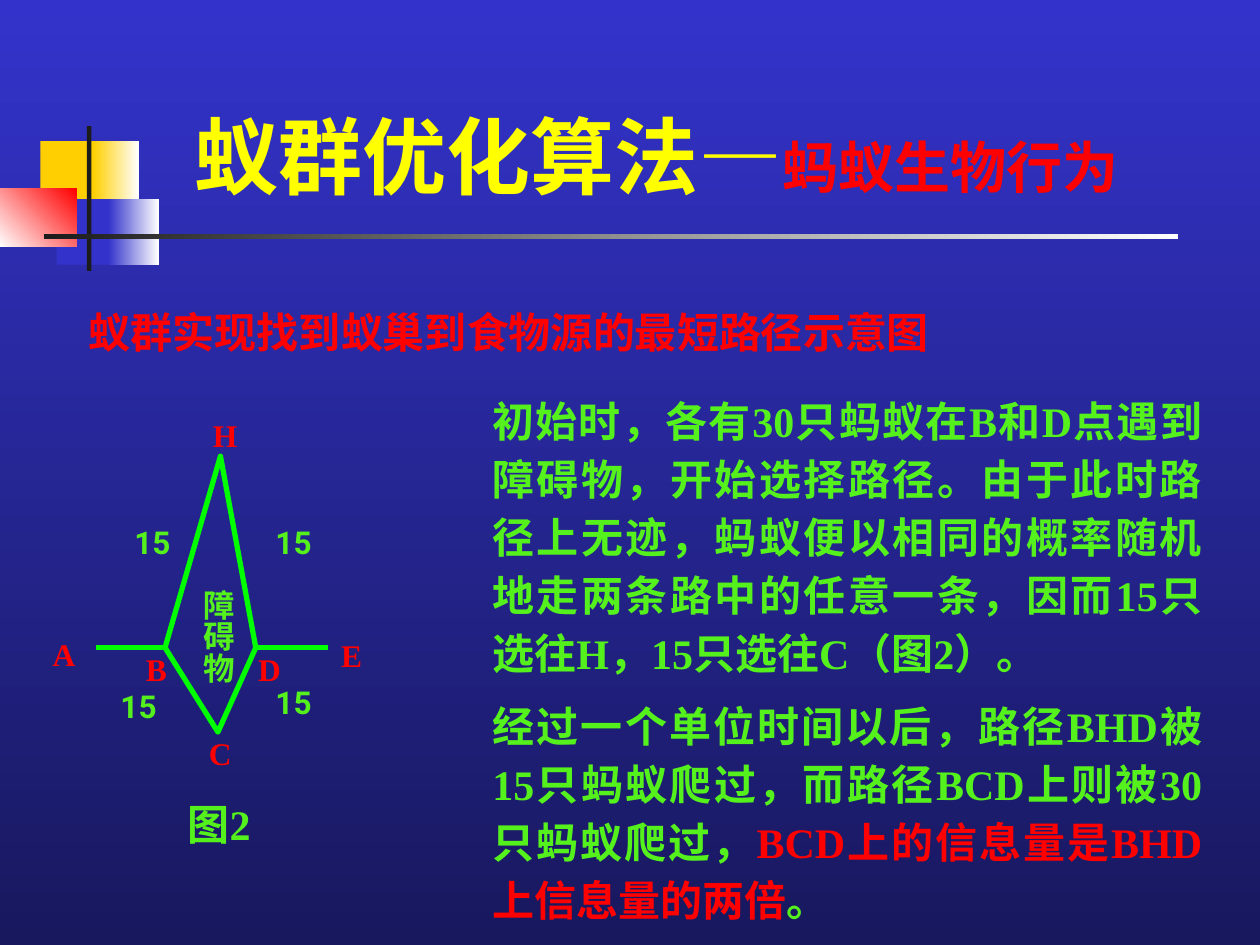
from lxml import etree
from pptx import Presentation
from pptx.dml.color import RGBColor
from pptx.enum.shapes import MSO_CONNECTOR, MSO_SHAPE
from pptx.enum.text import MSO_ANCHOR, PP_ALIGN
from pptx.oxml.ns import qn
from pptx.util import Inches, Pt

BLUE = RGBColor(0x33, 0x33, 0xCC)
NAVY = RGBColor(0x18, 0x18, 0x5E)
GOLD = RGBColor(0xFF, 0xCF, 0x01)
YELLOW = RGBColor(0xFF, 0xFF, 0x00)
RED = RGBColor(0xFF, 0x00, 0x00)
WHITE = RGBColor(0xFF, 0xFF, 0xFF)
BLACK = RGBColor(0x1C, 0x1C, 0x1C)
LIME = RGBColor(0x55, 0xF1, 0x1D)
GREEN = RGBColor(0x00, 0xFF, 0x00)

SERIF, SANS, CJK, DIGITS = "Times New Roman", "Arial", "Noto Sans CJK SC", "Roboto"
COLUMNS, ROWS = 100, 75


class Deck:
    """Style and current slide; lengths are columns and rows of the grid."""

    def __init__(self):
        self.prs = Presentation()
        self.prs.slide_width, self.prs.slide_height = Inches(10), Inches(7.5)
        self.slide = self.prs.slides.add_slide(self.prs.slide_layouts[6])
        self.shapes = self.slide.shapes

    def x(self, columns):
        return round(self.prs.slide_width * columns / COLUMNS)

    def y(self, rows):
        return round(self.prs.slide_height * rows / ROWS)

    def box(self, left, top, width, height):
        return self.x(left), self.y(top), self.x(width), self.y(height)

    def gradient(self, fill, start, end, angle):
        fill.gradient()
        fill.gradient_angle = angle
        for stop, color, position in zip(fill.gradient_stops, (start, end), (0, 1)):
            stop.color.rgb = color
            stop.position = position

    def bar(self, at, color, end=None, angle=0):
        sp = self.shapes.add_shape(MSO_SHAPE.RECTANGLE, *self.box(*at))
        sp.shadow.inherit = False
        sp.line.fill.background()
        if end is None:
            sp.fill.solid()
            sp.fill.fore_color.rgb = color
        else:
            self.gradient(sp.fill, color, end, angle)

    def text(self, at, paragraphs, size, color, font=SERIF, align=PP_ALIGN.CENTER,
             anchor=MSO_ANCHOR.TOP, spacing=None, before=0, vertical=False):
        """Each paragraph is a list of (text, overrides) runs."""
        sp = self.shapes.add_textbox(*self.box(*at))
        tf = sp.text_frame
        tf.word_wrap = True
        tf.vertical_anchor = anchor
        if vertical:
            tf.margin_left = tf.margin_right = Inches(0.05)
            tf.margin_top, tf.margin_bottom = Inches(0.22), Inches(0.1)
            tf._txBody.bodyPr.set("vert", "eaVert")
        for i, runs in enumerate(paragraphs):
            p = tf.add_paragraph() if i else tf.paragraphs[0]
            p.alignment = align
            if spacing:
                p.line_spacing = spacing
            if i:
                p.space_before = Pt(before)
            p.font.bold = True
            for words, own in runs:
                r = p.add_run()
                r.text = words
                r.font.size = Pt(own.get("size", size))
                r.font.bold = own.get("bold", True)
                r.font.color.rgb = own.get("color", color)
                r.font.name = own.get("font", font)
                ea = etree.SubElement(r._r.get_or_add_rPr(), qn("a:ea"))
                ea.set("typeface", CJK)

    def line(self, start, end):
        sp = self.shapes.add_connector(
            MSO_CONNECTOR.STRAIGHT, self.x(start[0]), self.y(start[1]),
            self.x(end[0]), self.y(end[1]))
        self.stroke(sp)
        etree.SubElement(sp._element.spPr, qn("a:effectLst"))

    def outline(self, points):
        corners = [(self.x(a), self.y(b)) for a, b in points]
        builder = self.shapes.build_freeform(*corners[0])
        builder.add_line_segments(corners[1:], close=True)
        sp = builder.convert_to_shape()
        sp.shadow.inherit = False
        sp.fill.background()
        self.stroke(sp)

    def stroke(self, sp):
        sp.line.color.rgb = GREEN
        sp.line.width = Pt(3)


def main():
    deck = Deck()
    deck.gradient(deck.slide.background.fill, BLUE, NAVY, 270)

    # Title
    deck.text((9.2, 3.7, 85.8, 13.1), [[
        ("蚁群优化算法", {}),
        ("—", {"font": SERIF, "bold": False}),
        ("蚂蚁生物行为", {"size": 32, "color": RED}),
    ]], 48, YELLOW, SANS, anchor=MSO_ANCHOR.BOTTOM)

    # Corner ornament and rule
    deck.bar((3.2, 11.2, 4.8, 5.2), GOLD)
    deck.bar((7.4, 11.2, 3.6, 5.2), GOLD, WHITE)
    deck.bar((4.5, 15.8, 4.6, 5.2), BLUE)
    deck.bar((8.6, 15.8, 4, 5.2), BLUE, WHITE)
    deck.bar((0, 15, 6.1, 4.6), WHITE, RED, 45)
    deck.bar((6.9, 10, 0.35, 11.5), BLACK)
    deck.bar((3.5, 18.6, 90, 0.35), BLACK, WHITE)

    # Subtitle
    deck.text((5.1, 23.8, 70.6, 5), [[("蚁群实现找到蚁巢到食物源的最短路径示意图", {})]],
              24, RED)

    # Path diagram around the obstacle
    deck.text((14.7, 44.6, 4.6, 11.9), [[("障碍物", {})]], 18, LIME,
              align=PP_ALIGN.JUSTIFY, vertical=True)
    b, h, d, c = (13.1, 51.4), (17.5, 36.2), (20.3, 51.4), (17.3, 58.1)
    deck.line((7.6, 51.4), b)
    deck.outline([b, h, d, c])
    deck.line(d, (26, 51.4))

    # Node names
    nodes = {"A": (3.2, 49.9), "B": (10.6, 51.1), "C": (15.6, 57.8),
             "D": (19.5, 51.1), "E": (26.1, 50), "H": (15.9, 32.5)}
    for name, corner in nodes.items():
        deck.text((*corner, 4.9, 6.4), [[(name, {})]], 18, RED, align=PP_ALIGN.JUSTIFY)

    # Ants on each branch
    for corner in ((6.9, 41), (18.1, 41), (18.1, 53.7), (5.8, 54)):
        deck.text((*corner, 10.4, 4), [[("15", {})]], 18, LIME, DIGITS)

    # Explanation
    deck.text((38.1, 30.3, 58.3, 43.7), [
        [("初始时，各有30只蚂蚁在B和D点遇到障碍物，开始选择路径。由于此时路径上无迹，"
          "蚂蚁便以相同的概率随机地走两条路中的任意一条，因而15只选往H，15只选往C（图2）。", {})],
        [("经过一个单位时间以后，路径BHD被15只蚂蚁爬过，而路径BCD上则被30只蚂蚁爬过，", {}),
         ("BCD上的信息量是BHD上信息量的两倍", {"color": RED}),
         ("。", {})],
    ], 24, LIME, align=PP_ALIGN.JUSTIFY, spacing=1.15, before=9)

    # Caption
    deck.text((6.9, 62.9, 21, 5), [[("图2", {})]], 24, LIME)

    deck.prs.save("out.pptx")


if __name__ == "__main__":
    main()
